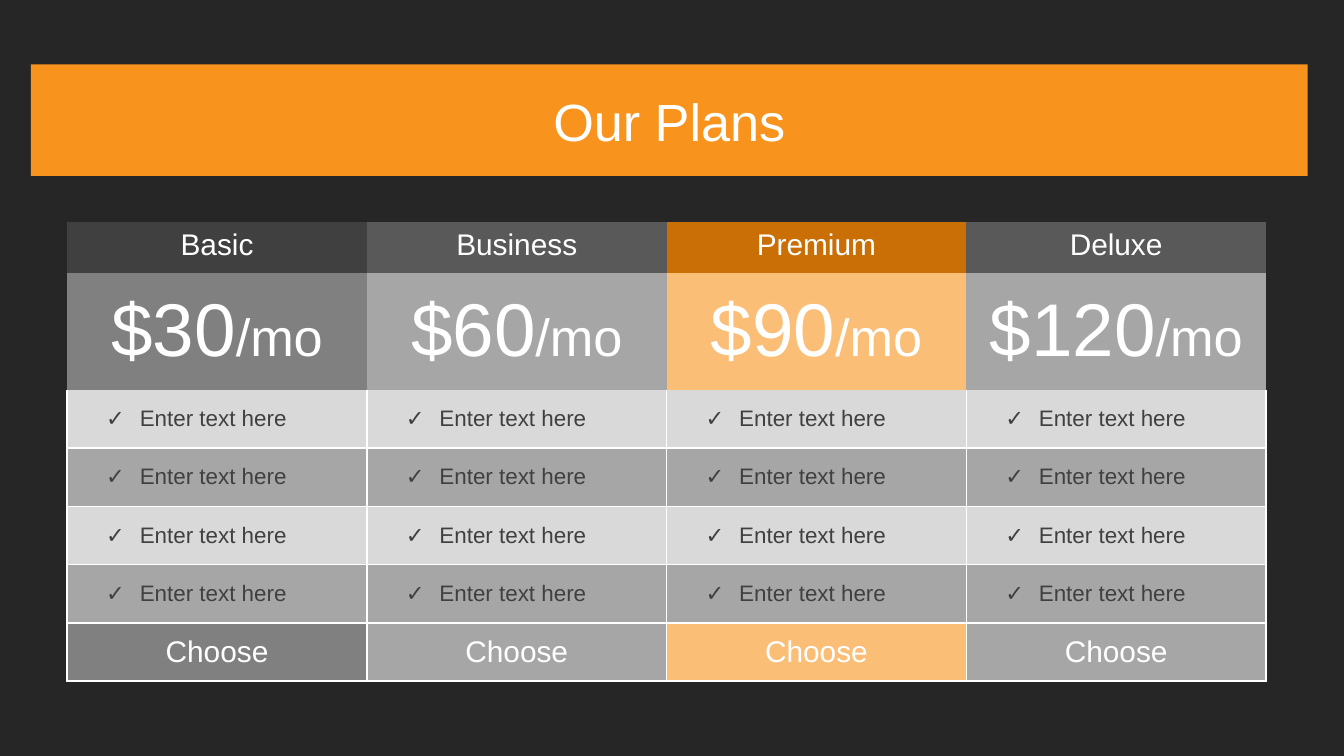
"""Build the pricing slide with its four plans."""
from dataclasses import dataclass

from lxml.etree import SubElement
from pptx import Presentation
from pptx.dml.color import RGBColor
from pptx.enum.text import MSO_ANCHOR, PP_ALIGN
from pptx.oxml.ns import qn
from pptx.slide import Slide
from pptx.table import Table, _Cell
from pptx.text.text import _Paragraph
from pptx.util import Inches, Pt

FONT = "Arial"
WHITE = RGBColor(0xFF, 0xFF, 0xFF)
BACKGROUND = RGBColor(0x26, 0x26, 0x26)
CHARCOAL = RGBColor(0x40, 0x40, 0x40)
DARK_GRAY = RGBColor(0x59, 0x59, 0x59)
MID_GRAY = RGBColor(0x80, 0x80, 0x80)
GRAY = RGBColor(0xA6, 0xA6, 0xA6)
LIGHT_GRAY = RGBColor(0xD9, 0xD9, 0xD9)
ORANGE = RGBColor(0xF8, 0x93, 0x1D)
DARK_ORANGE = RGBColor(0xCA, 0x6F, 0x06)
LIGHT_ORANGE = RGBColor(0xFB, 0xBE, 0x77)

SLIDE_WIDTH = 10
SLIDE_HEIGHT = SLIDE_WIDTH * 9 / 16
TABLE_WIDTH, TABLE_HEIGHT = 8.92, 3.42
NAME_HEIGHT, PRICE_HEIGHT = 0.38, 0.87
FEATURES = ["Enter text here"] * 4
FEATURE_FILLS = (LIGHT_GRAY, GRAY)
ALL_SIDES = "LRTB"


@dataclass(frozen=True)
class Plan:
    name: str
    price: str
    name_fill: RGBColor
    price_fill: RGBColor


PLANS = [
    Plan("Basic", "$30", CHARCOAL, MID_GRAY),
    Plan("Business", "$60", DARK_GRAY, GRAY),
    Plan("Premium", "$90", DARK_ORANGE, LIGHT_ORANGE),
    Plan("Deluxe", "$120", DARK_GRAY, GRAY),
]


def add_run(paragraph: _Paragraph, text: str, size: int, color: RGBColor = WHITE) -> None:
    run = paragraph.add_run()
    run.text = text
    run.font.name = FONT
    run.font.size = Pt(size)
    run.font.color.rgb = color


def add_check_bullet(paragraph: _Paragraph) -> None:
    properties = paragraph._p.get_or_add_pPr()
    properties.set("marL", str(Inches(0.44)))
    properties.set("indent", str(Inches(-0.25)))
    SubElement(properties, qn("a:buFont"), typeface=FONT)
    SubElement(properties, qn("a:buChar"), char="✓")


def style_cell(cell: _Cell, fill: RGBColor, bordered_sides: str = ALL_SIDES) -> _Paragraph:
    properties = cell._tc.get_or_add_tcPr()
    for side in ALL_SIDES:
        border = SubElement(properties, qn(f"a:ln{side}"), w=str(Pt(1)))
        if side in bordered_sides:
            border_fill = SubElement(border, qn("a:solidFill"))
            SubElement(border_fill, qn("a:srgbClr"), val=str(WHITE))
        else:
            SubElement(border, qn("a:noFill"))
    cell.fill.solid()
    cell.fill.fore_color.rgb = fill
    cell.vertical_anchor = MSO_ANCHOR.MIDDLE
    paragraph = cell.text_frame.paragraphs[0]
    paragraph.alignment = PP_ALIGN.CENTER
    return paragraph


def fill_plan(table: Table, column: int, plan: Plan) -> None:
    name_cell = table.cell(0, column)
    add_run(style_cell(name_cell, plan.name_fill, ""), plan.name, 16)
    name_cell.vertical_anchor = MSO_ANCHOR.TOP

    price = style_cell(table.cell(1, column), plan.price_fill, "")
    add_run(price, plan.price, 40)
    add_run(price, "/mo", 28)

    for index, text in enumerate(FEATURES):
        sides = ALL_SIDES if index else "LRB"
        fill = FEATURE_FILLS[index % len(FEATURE_FILLS)]
        feature = style_cell(table.cell(index + 2, column), fill, sides)
        feature.alignment = PP_ALIGN.LEFT
        add_check_bullet(feature)
        add_run(feature, text, 12, CHARCOAL)

    choice_cell = table.cell(len(FEATURES) + 2, column)
    add_run(style_cell(choice_cell, plan.price_fill), "Choose", 16)


def add_title(slide: Slide) -> None:
    title = slide.shapes.title
    title.left, title.top = Inches(0.23), Inches(0.48)
    title.width, title.height = Inches(9.5), Inches(0.83)
    title.fill.solid()
    title.fill.fore_color.rgb = ORANGE
    title.text_frame.vertical_anchor = MSO_ANCHOR.MIDDLE
    heading = title.text_frame.paragraphs[0]
    heading.alignment = PP_ALIGN.CENTER
    add_run(heading, "Our Plans", 28)


def add_plans(slide: Slide) -> None:
    row_count = len(FEATURES) + 3
    table = slide.shapes.add_table(
        row_count, len(PLANS), Inches(0.5), Inches(1.65),
        Inches(TABLE_WIDTH), Inches(TABLE_HEIGHT),
    ).table
    table.first_row = False
    table.horz_banding = False
    feature_height = (TABLE_HEIGHT - NAME_HEIGHT - PRICE_HEIGHT) / (row_count - 2)
    heights = [NAME_HEIGHT, PRICE_HEIGHT] + [feature_height] * (row_count - 2)
    for row, height in zip(table.rows, heights):
        row.height = Inches(height)
    for column, plan in enumerate(PLANS):
        table.columns[column].width = Inches(TABLE_WIDTH / len(PLANS))
        fill_plan(table, column, plan)


def main() -> None:
    presentation = Presentation()
    presentation.slide_width = Inches(SLIDE_WIDTH)
    presentation.slide_height = Inches(SLIDE_HEIGHT)
    slide = presentation.slides.add_slide(presentation.slide_layouts[5])
    slide.background.fill.solid()
    slide.background.fill.fore_color.rgb = BACKGROUND
    add_title(slide)
    add_plans(slide)
    presentation.save("out.pptx")


if __name__ == "__main__":
    main()
